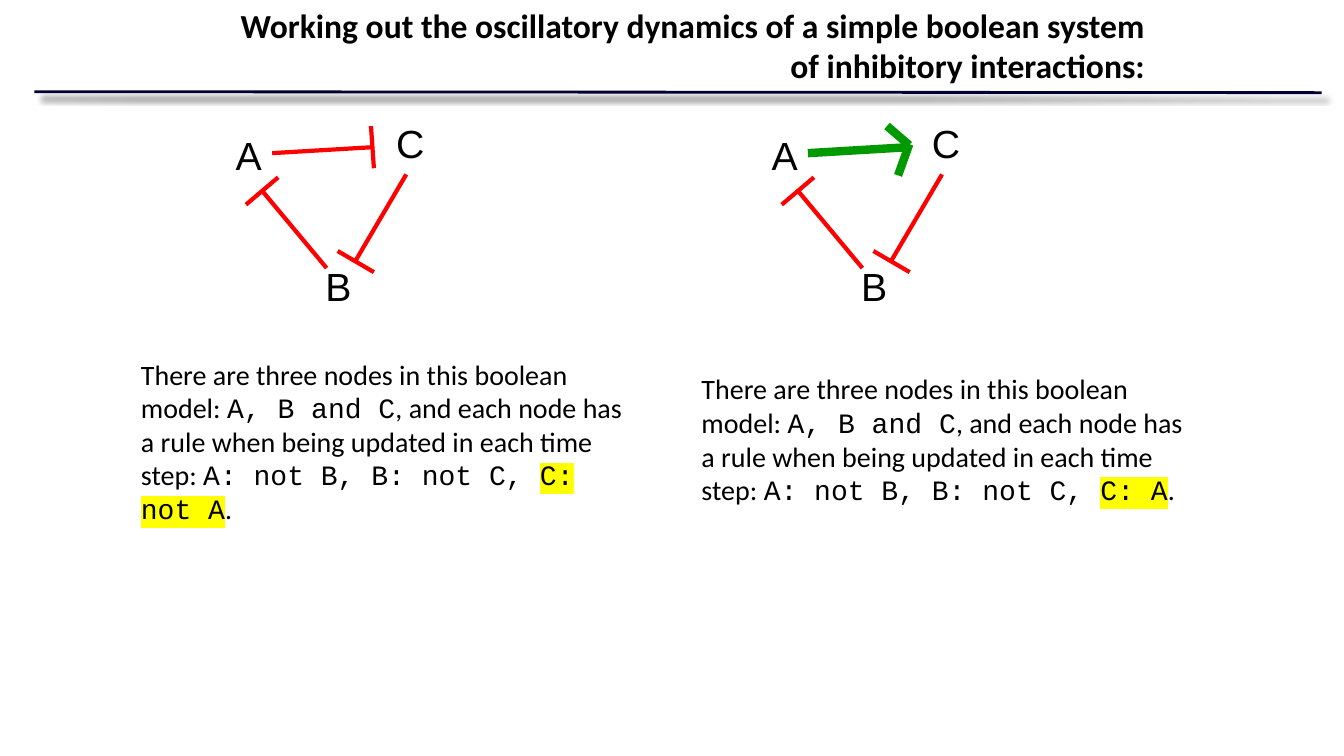
"""Build a slide comparing two three-node boolean networks."""
from lxml.etree import SubElement
from pptx import Presentation
from pptx.dml.color import RGBColor
from pptx.enum.shapes import MSO_CONNECTOR
from pptx.enum.text import MSO_ANCHOR, MSO_AUTO_SIZE, PP_ALIGN
from pptx.oxml.ns import qn
from pptx.util import Pt

COLORS = {"text": "000000", "rule": "000033", "inhibit": "FF0000",
          "activate": "009900", "highlight": "FFFF00"}
NODES = [("A", 161.3, 90), ("B", 225.4, 183.6), ("C", 275.8, 82)]
A_TO_C = (194.4, 109.4, 267.1, 105.1)
A_TO_C_BAR = [(267.1, 120.2, 265, 90)]
A_TO_C_HEAD = [(258.8, 125.3, 266.8, 103), (266.8, 103.7, 250.9, 90)]
OTHER_INHIBITIONS = [
    (233.3, 191.5, 186.5, 135.4), (198.7, 126.7, 175.7, 146.2),
    (290.2, 124.6, 253.4, 187.2), (241.2, 179.3, 267.1, 194.4),
]


def add_run(p, text, font="Calibri", size=20, bold=False, highlight=None):
    """Append a formatted run to a paragraph."""
    r = p.add_run()
    r.text = text
    r.font.size, r.font.bold = Pt(size), bold
    r.font.color.rgb = RGBColor.from_string(COLORS["text"])
    if highlight:
        mark = SubElement(r.font._element, qn("a:highlight"))
        SubElement(mark, qn("a:srgbClr"), val=COLORS[highlight])
    r.font.name = font


def add_line(shapes, points, color, width, shadow=False):
    """Draw a straight line, with an optional soft shadow."""
    line = shapes.add_connector(MSO_CONNECTOR.STRAIGHT, *(Pt(v) for v in points))
    line.line.color.rgb = RGBColor.from_string(COLORS[color])
    line.line.width = Pt(width)
    effects = SubElement(line._element.spPr, qn("a:effectLst"))
    if shadow:
        outer = SubElement(effects, qn("a:outerShdw"), blurRad=str(Pt(4)),
                           dist=str(Pt(6)), dir="2700000", algn="ctr", rotWithShape="0")
        shade = SubElement(outer, qn("a:srgbClr"), val=COLORS["text"])
        SubElement(shade, qn("a:alpha"), val="50000")


def add_box(shapes, x, y, w, h, wrap=True, anchor=MSO_ANCHOR.TOP):
    """Add a text box and return its first paragraph."""
    tf = shapes.add_textbox(Pt(x), Pt(y), Pt(w), Pt(h)).text_frame
    tf.word_wrap, tf.vertical_anchor = wrap, anchor
    return tf.paragraphs[0]


def add_title(s, text):
    """Fill and place the title placeholder."""
    sp = s.shapes.title
    sp.left, sp.top, sp.width, sp.height = Pt(152), Pt(0), Pt(673), Pt(90)
    tf = sp.text_frame
    tf.word_wrap, tf.auto_size = True, MSO_AUTO_SIZE.NONE
    tf.vertical_anchor = MSO_ANCHOR.TOP
    p = tf.paragraphs[0]
    p.alignment, p.line_spacing, p.space_before = PP_ALIGN.RIGHT, 1.0, Pt(0)
    add_run(p, text, size=24, bold=True)


def add_network(s, dx, color, width, tips):
    """Draw the three nodes and their interactions, shifted right by dx."""
    shapes = s.shapes.add_group_shape().shapes
    for name, x, y in NODES:
        add_run(add_box(shapes, x + dx, y, 34, 41, wrap=False), name, "Arial", 28)
    edges = [(edge, "inhibit", 3) for edge in OTHER_INHIBITIONS]
    edges += [(edge, color, width) for edge in [A_TO_C, *tips]]
    for (x1, y1, x2, y2), edge_color, edge_width in edges:
        add_line(shapes, (x1 + dx, y1, x2 + dx, y2), edge_color, edge_width)


def add_description(s, x, y, last_rule):
    """Describe a network and highlight its last rule."""
    p = add_box(s.shapes, x, y, 364.3, 156.2, anchor=MSO_ANCHOR.MIDDLE)
    add_run(p, "There are three nodes in this boolean model: ")
    add_run(p, "A, B and C", "Courier New")
    add_run(p, ", and each node has a rule when being updated in each time step: ")
    add_run(p, "A: not B, B: not C, ", "Courier New")
    add_run(p, last_rule, "Courier New", highlight="highlight")
    add_run(p, ".")


def main():
    """Create and save the presentation."""
    prs = Presentation()
    prs.slide_width, prs.slide_height = Pt(960), Pt(540)
    s = prs.slides.add_slide(prs.slide_layouts[5])
    add_line(s.shapes, (24.5, 65.5, 944, 66.2), "rule", 2, shadow=True)
    add_title(s, "Working out the oscillatory dynamics of a simple boolean system "
                 "of inhibitory interactions:")
    add_network(s, 0, "inhibit", 3, A_TO_C_BAR)
    add_network(s, 382.7, "activate", 6, A_TO_C_HEAD)
    add_description(s, 93.6, 237, "C: not A")
    add_description(s, 494, 235.5, "C: A")
    prs.save("out.pptx")


if __name__ == "__main__":
    main()
